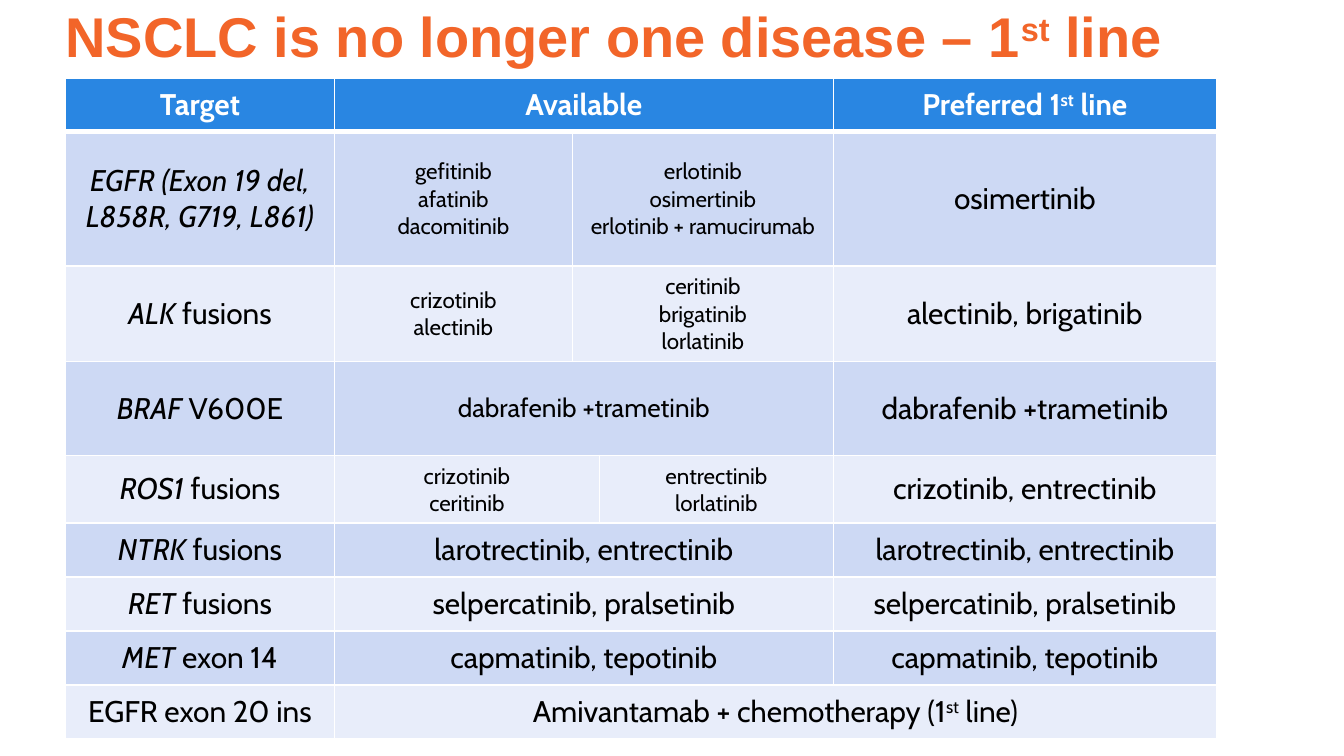
from lxml import etree
from pptx import Presentation
from pptx import util as u
from pptx.dml.color import RGBColor
from pptx.enum import text
from pptx.oxml import ns

COLORS = {
    "title": "F26529",
    "header": "2986E2",
    "dark_band": "CDD9F4",
    "light_band": "E8EDFA",
    "text": "000000",
    "white": "FFFFFF",
}


def write_runs(paragraph, marked_text, font_name, size, color, bold=False):
    for italic_index, part in enumerate(marked_text.split("*")):
        for raised_index, piece in enumerate(part.split("^")):
            if not piece:
                continue
            run = paragraph.add_run()
            run.text = piece
            run.font.name = font_name
            run.font.size = u.Pt(size)
            run.font.bold = bold
            run.font.italic = italic_index % 2 == 1
            run.font.color.rgb = RGBColor.from_string(COLORS[color])
            if raised_index % 2:
                run._r.get_or_add_rPr().set("baseline", "30000")


def add_border(cell, side, width):
    line = etree.SubElement(cell._tc.get_or_add_tcPr(), ns.qn(f"a:ln{side}"), w=str(u.Pt(width)))
    fill = etree.SubElement(line, ns.qn("a:solidFill"))
    etree.SubElement(fill, ns.qn("a:srgbClr"), val=COLORS["white"])


presentation = Presentation()
presentation.slide_width = u.Cm(25.4)
presentation.slide_height = u.Cm(14.29)
slide = presentation.slides.add_slide(presentation.slide_layouts[6])

title = slide.shapes.add_textbox(u.Cm(0.99), u.Cm(-0.46), u.Cm(23.75), u.Cm(2.26))
title.text_frame.word_wrap = True
title.text_frame.vertical_anchor = text.MSO_ANCHOR.MIDDLE
write_runs(title.text_frame.paragraphs[0], "NSCLC is no longer one disease – 1^st^ line",
           "Arial", 30, "title", bold=True)

column_widths = [5.08, 4.5, 0.51, 4.42, 7.24]
row_heights = [1.02, 2.54, 1.8, 1.78, 1.28] + [1.02] * 4
rows = [
    [(0, 1, 16, "Target"), (1, 3, 16, "Available"), (4, 1, 16, "Preferred 1^st^ line")],
    [(0, 1, 16, "*EGFR (Exon 19 del, L858R, G719, L861)*"),
     (1, 1, 12, "gefitinib\nafatinib\ndacomitinib"),
     (2, 2, 12, "erlotinib\nosimertinib\nerlotinib + ramucirumab"),
     (4, 1, 16, "osimertinib")],
    [(0, 1, 16, "*ALK* fusions"), (1, 1, 12, "crizotinib\nalectinib"),
     (2, 2, 12, "ceritinib\nbrigatinib\nlorlatinib"), (4, 1, 16, "alectinib, brigatinib")],
    [(0, 1, 16, "*BRAF* V600E"), (1, 3, 14, "dabrafenib +trametinib"),
     (4, 1, 16, "dabrafenib +trametinib")],
    [(0, 1, 16, "*ROS1* fusions"), (1, 2, 12, "crizotinib\nceritinib"),
     (3, 1, 12, "entrectinib\nlorlatinib"), (4, 1, 16, "crizotinib, entrectinib")],
]
for target, drugs in [
    ("*NTRK* fusions", "larotrectinib, entrectinib"),
    ("*RET* fusions", "selpercatinib, pralsetinib"),
    ("*MET* exon 14", "capmatinib, tepotinib"),
]:
    rows.append([(0, 1, 16, target), (1, 3, 16, drugs), (4, 1, 16, drugs)])
rows.append([(0, 1, 16, "EGFR exon 20 ins"), (1, 4, 16, "Amivantamab + chemotherapy (1^st^ line)")])

table = slide.shapes.add_table(
    len(rows), len(column_widths), u.Cm(1.24), u.Cm(1.47),
    u.Cm(sum(column_widths)), u.Cm(sum(row_heights))).table
for column, width in zip(table.columns, column_widths):
    column.width = u.Cm(width)

for row_index, (height, entries) in enumerate(zip(row_heights, rows)):
    table.rows[row_index].height = u.Cm(height)
    is_header = row_index == 0
    band = "header" if is_header else "dark_band" if row_index % 2 else "light_band"
    for cell in table.rows[row_index].cells:
        for side in "LRTB":
            under_header = (row_index, side) in [(0, "B"), (1, "T")]
            add_border(cell, side, 3 if under_header else 1)
        cell.fill.solid()
        cell.fill.fore_color.rgb = RGBColor.from_string(COLORS[band])
        cell.margin_left = cell.margin_right = u.Cm(0.18)
        cell.margin_top = cell.margin_bottom = u.Cm(0.13)
        cell.vertical_anchor = text.MSO_ANCHOR.MIDDLE

    for column_index, span, size, content in entries:
        cell = table.cell(row_index, column_index)
        if span > 1:
            cell.merge(table.cell(row_index, column_index + span - 1))
        for line_index, line_text in enumerate(content.split("\n")):
            frame = cell.text_frame
            paragraph = frame.add_paragraph() if line_index else frame.paragraphs[0]
            paragraph.alignment = text.PP_ALIGN.CENTER
            write_runs(paragraph, line_text, "Cabin", size,
                       "white" if is_header else "text", bold=is_header)

presentation.save("out.pptx")
